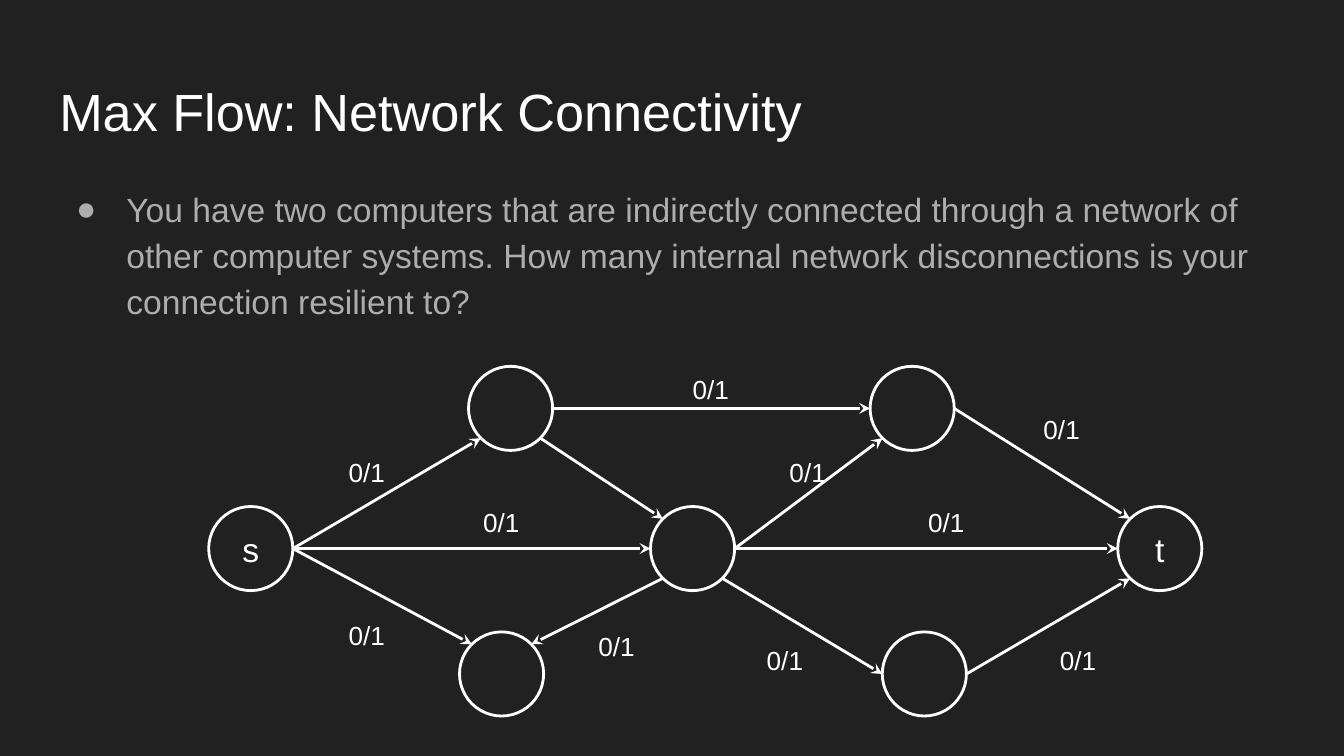
from math import cos, pi, sin

from pptx import Presentation
from pptx.dml.color import RGBColor
from pptx.enum.shapes import MSO_CONNECTOR, MSO_SHAPE
from pptx.enum.text import MSO_ANCHOR, MSO_AUTO_SIZE, PP_ALIGN
from pptx.oxml.ns import qn
from pptx.util import Cm, Pt
from lxml.etree import SubElement

COLORS = {"background": "212121", "light": "FFFFFF", "body": "ADADAD"}
DIAMETER = 1.59
SITES = ["top", "top left", "left", "bottom left",
         "bottom", "bottom right", "right", "top right"]

NODES = {
    "source": (4.74, 10.37, "s"),
    "upper left": (9.65, 7.72, ""),
    "lower left": (9.48, 12.74, ""),
    "middle": (13.09, 10.37, ""),
    "upper right": (17.24, 7.72, ""),
    "lower right": (17.47, 12.74, ""),
    "sink": (21.92, 10.37, "t"),
}
EDGES = [
    ("source", "right", "upper left", "bottom left"),
    ("source", "right", "middle", "left"),
    ("upper left", "bottom right", "middle", "top left"),
    ("upper left", "right", "upper right", "left"),
    ("middle", "bottom left", "lower left", "top right"),
    ("middle", "bottom right", "lower right", "left"),
    ("middle", "right", "upper right", "bottom left"),
    ("lower right", "right", "sink", "bottom left"),
    ("upper right", "right", "sink", "top left"),
    ("middle", "right", "sink", "left"),
    ("source", "right", "lower left", "top left"),
]
CAPACITY_LABELS = [
    (6.3, 8.38), (8.84, 9.32), (6.3, 11.46), (11.02, 11.66), (12.8, 6.81),
    (19.43, 7.57), (14.63, 8.38), (17.25, 9.32), (14.2, 11.94), (19.74, 11.94),
]


def color(name):
    return RGBColor.from_string(COLORS[name])


class SlideBuilder:
    font = "Arial"
    line_width = Pt(1.5)
    inset = Cm(0.25)

    def __init__(self, page):
        self.page = page
        page.background.fill.solid()
        page.background.fill.fore_color.rgb = color("background")

    def set_text(self, shape, text, size, ink="light", align=PP_ALIGN.LEFT,
                 anchor=MSO_ANCHOR.TOP):
        frame = shape.text_frame
        frame.text = text
        frame.word_wrap = True
        frame.auto_size = MSO_AUTO_SIZE.NONE
        frame.vertical_anchor = anchor
        frame.margin_left = frame.margin_right = self.inset
        frame.margin_top = frame.margin_bottom = self.inset
        paragraph = frame.paragraphs[0]
        paragraph.alignment = align
        for span in paragraph.runs:
            span.font.name = self.font
            span.font.size = Pt(size)
            span.font.color.rgb = color(ink)
        return paragraph

    def title(self, text, left, top, width, height):
        title = self.page.shapes.title
        title.left, title.top = Cm(left), Cm(top)
        title.width, title.height = Cm(width), Cm(height)
        self.set_text(title, text, 28)

    def bullet(self, text, left, top, width, height):
        box = self.page.shapes.add_textbox(Cm(left), Cm(top), Cm(width), Cm(height))
        paragraph = self.set_text(box, text, 18, "body")
        paragraph.line_spacing = 1.15
        properties = paragraph._p.get_or_add_pPr()
        properties.set("marL", str(Cm(1.27)))
        properties.set("indent", str(Cm(-0.95)))
        bullet_color = SubElement(properties, qn("a:buClr"))
        SubElement(bullet_color, qn("a:srgbClr"), val=COLORS["body"])
        SubElement(properties, qn("a:buFont"), typeface=self.font)
        SubElement(properties, qn("a:buChar"), char="●")

    def node(self, center_x, center_y, text):
        radius = DIAMETER / 2
        circle = self.page.shapes.add_shape(
            MSO_SHAPE.OVAL, Cm(center_x - radius), Cm(center_y - radius),
            Cm(DIAMETER), Cm(DIAMETER))
        circle.shadow.inherit = False
        circle.fill.background()
        circle.line.color.rgb = color("light")
        circle.line.width = self.line_width
        if text:
            self.set_text(circle, text, 18, align=PP_ALIGN.CENTER,
                          anchor=MSO_ANCHOR.MIDDLE)
        return circle

    def site_point(self, circle, site):
        angle = SITES.index(site) * pi / 4
        radius = circle.width / 2
        return (round(circle.left + radius * (1 - sin(angle))),
                round(circle.top + radius * (1 - cos(angle))))

    def edge(self, start, start_site, end, end_site):
        arrow = self.page.shapes.add_connector(
            MSO_CONNECTOR.STRAIGHT, *self.site_point(start, start_site),
            *self.site_point(end, end_site))
        arrow.line.color.rgb = color("light")
        arrow.line.width = self.line_width
        SubElement(arrow.line._get_or_add_ln(), qn("a:tailEnd"), type="stealth")
        SubElement(arrow._element.spPr, qn("a:effectLst"))
        joints = arrow._element.find(".//" + qn("p:cNvCxnSpPr"))
        for tag, circle, site in (("a:stCxn", start, start_site),
                                  ("a:endCxn", end, end_site)):
            SubElement(joints, qn(tag), id=str(circle.shape_id),
                       idx=str(SITES.index(site)))

    def label(self, text, left, top):
        box = self.page.shapes.add_textbox(Cm(left), Cm(top), Cm(1.27), Cm(0.79))
        self.set_text(box, text, 14, align=PP_ALIGN.CENTER)


def main():
    deck = Presentation()
    deck.slide_width, deck.slide_height = Cm(25.4), Cm(14.29)
    builder = SlideBuilder(deck.slides.add_slide(deck.slide_layouts[5]))
    builder.title("Max Flow: Network Connectivity", 0.87, 1.24, 23.67, 1.6)
    builder.bullet(
        "You have two computers that are indirectly connected through a network "
        "of other computer systems. How many internal network disconnections is "
        "your connection resilient to?", 0.87, 3.2, 23.67, 3.23)
    circles = {name: builder.node(*node) for name, node in NODES.items()}
    for start, start_site, end, end_site in EDGES:
        builder.edge(circles[start], start_site, circles[end], end_site)
    for left, top in CAPACITY_LABELS:
        builder.label("0/1", left, top)
    deck.save("out.pptx")


if __name__ == "__main__":
    main()
